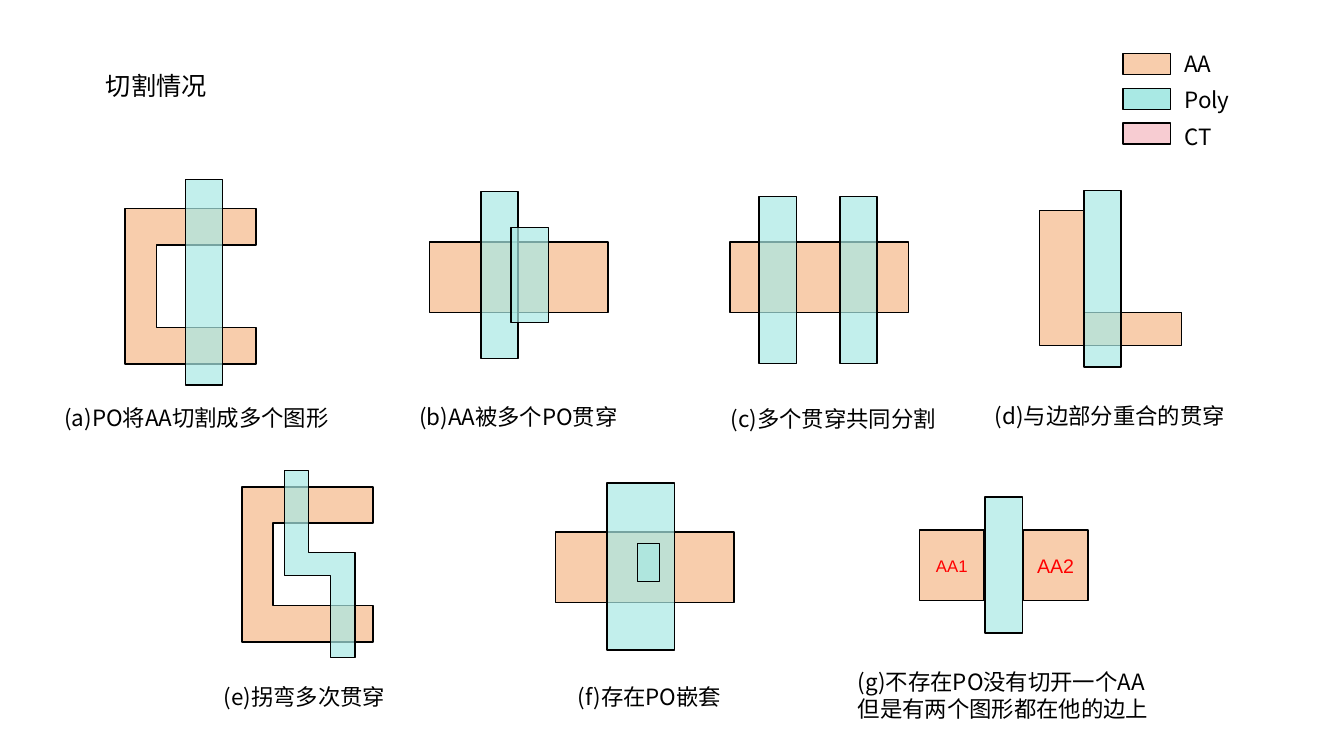
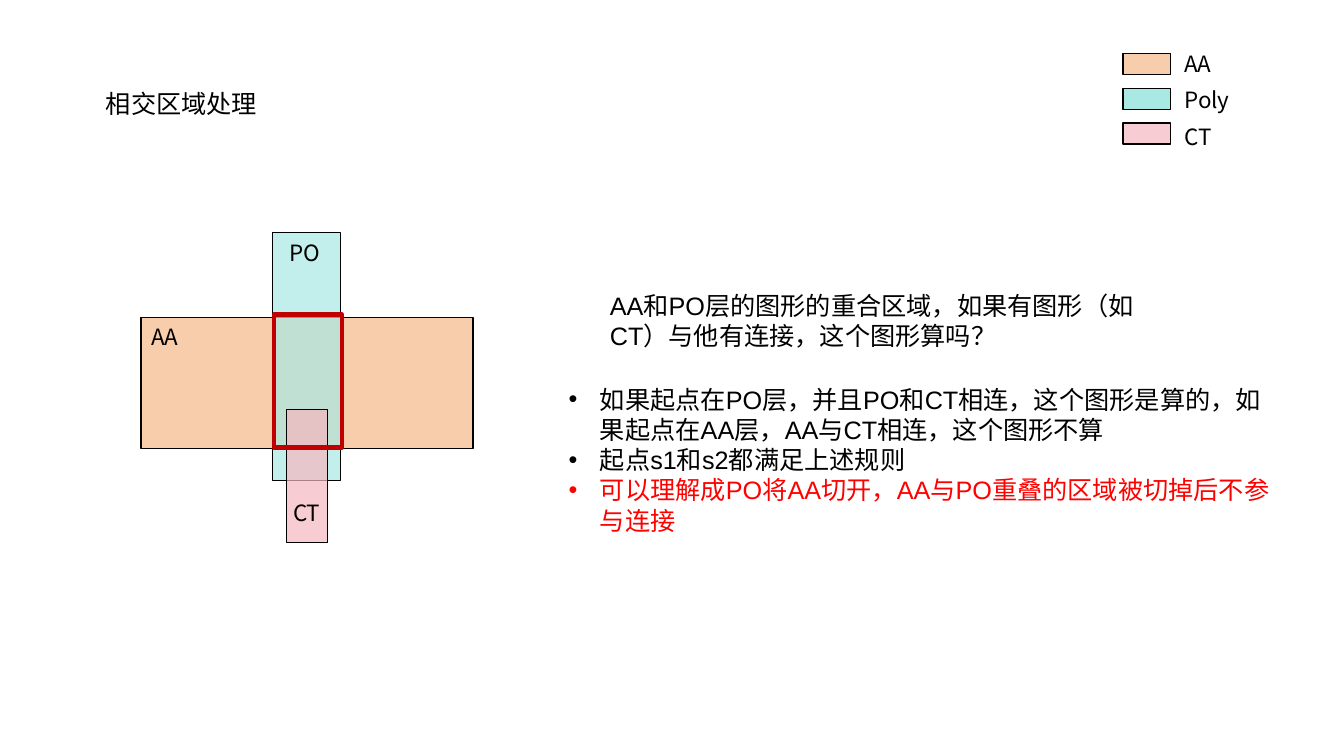
import lxml.etree
import pptx
import pptx.dml.color
import pptx.enum.shapes
import pptx.enum.text
import pptx.oxml.ns
import pptx.util

Inches = pptx.util.Inches
Pt = pptx.util.Pt
qn = pptx.oxml.ns.qn
ALIGN = pptx.enum.text.PP_ALIGN
ANCHOR = pptx.enum.text.MSO_ANCHOR

COLORS = {
    "AA": "F8CDAC",
    "Poly": "A9E9E4",
    "CT": "F5B7BF",
    "ink": "000000",
    "alert": "FF0000",
    "overlap": "C00000",
}
LATIN = "Arial"
CJK = "Noto Sans CJK SC"
BAR_WIDTH = 0.37
BLOCK_SIZE = (1.77, 0.7)
CHANNEL = [(0, 0), (1.3, 0), (1.3, 0.36), (0.31, 0.36),
           (0.31, 1.18), (1.3, 1.18), (1.3, 1.54), (0, 1.54)]


def rgb(name):
    return pptx.dml.color.RGBColor.from_string(COLORS[name])


def write(paragraph, content, size=16, font=CJK, color="ink", align=ALIGN.LEFT):
    paragraph.alignment = align
    paragraph.space_before = Pt(0)
    run = paragraph.add_run()
    run.text = content
    run.font.size = Pt(size)
    run.font.name = font
    run.font.color.rgb = rgb(color)
    lxml.etree.SubElement(run.font._element, qn("a:ea"), typeface=CJK)


class Deck:
    def __init__(self):
        self.presentation = pptx.Presentation()
        self.presentation.slide_width = Inches(13.33)
        self.presentation.slide_height = Inches(7.5)
        self.slide = None

    def start(self, layout, title, top, width):
        layouts = self.presentation.slide_layouts
        self.slide = self.presentation.slides.add_slide(layouts[layout])
        frame = self.place(self.slide.shapes.title, 0.95, top, width, 0.4)
        write(frame.paragraphs[0], title, size=18, font=LATIN)
        self.legend()

    def place(self, holder, left, top, width, height):
        holder.left, holder.top = Inches(left), Inches(top)
        holder.width, holder.height = Inches(width), Inches(height)
        frame = holder.text_frame
        frame.word_wrap = True
        frame.auto_size = pptx.enum.text.MSO_AUTO_SIZE.NONE
        frame.vertical_anchor = ANCHOR.TOP
        return frame

    def legend(self):
        for row, (layer, opacity) in enumerate([("AA", 100), ("Poly", 100), ("CT", 70)]):
            self.rect(11.14, 0.53 + 0.345 * row, 0.47, 0.21, layer, opacity)
            self.label(layer, 11.65, 0.45 + 0.36 * row, 0.94)

    def paint(self, shape, fill, opacity=100, line="ink", weight=1):
        shape.shadow.inherit = False
        shape.line.color.rgb = rgb(line)
        shape.line.width = Pt(weight)
        if fill is None:
            shape.fill.background()
            return shape
        shape.fill.solid()
        shape.fill.fore_color.rgb = rgb(fill)
        if opacity < 100:
            tint = shape.element.spPr.find(qn("a:solidFill")).find(qn("a:srgbClr"))
            lxml.etree.SubElement(tint, qn("a:alpha"), val=str(opacity * 1000))
        return shape

    def rect(self, left, top, width, height, fill, opacity=100, **outline):
        shape = self.slide.shapes.add_shape(
            pptx.enum.shapes.MSO_SHAPE.RECTANGLE,
            Inches(left), Inches(top), Inches(width), Inches(height))
        return self.paint(shape, fill, opacity, **outline)

    def poly(self, left, top, height, width=BAR_WIDTH):
        self.rect(left, top, width, height, "Poly", 70)

    def outline(self, points, fill, opacity=100, left=0, top=0):
        corners = [(Inches(left + x), Inches(top + y)) for x, y in points]
        builder = self.slide.shapes.build_freeform(*corners[0])
        builder.add_line_segments(corners[1:], close=True)
        self.paint(builder.convert_to_shape(), fill, opacity)

    def label(self, content, left, top, width, height=0.37, **style):
        box = self.slide.shapes.add_textbox(0, 0, 0, 0)
        frame = self.place(box, left, top, width, height)
        write(frame.paragraphs[0], content, **style)

    def tagged_block(self, content, left, size):
        block = self.rect(left, 5.26, 0.64, 0.7, "AA")
        block.text_frame.vertical_anchor = ANCHOR.MIDDLE
        write(block.text_frame.paragraphs[0], content, size=size, font=LATIN,
              color="alert", align=ALIGN.CENTER)

    def bullets(self, items, left, top, width, height):
        frame = self.place(self.slide.placeholders[1], left, top, width, height)
        for index, (content, color) in enumerate(items):
            paragraph = frame.add_paragraph() if index else frame.paragraphs[0]
            properties = paragraph._p.get_or_add_pPr()
            properties.set("marL", str(Inches(0.31)))
            properties.set("indent", str(-Inches(0.31)))
            lxml.etree.SubElement(properties, qn("a:buFont"), typeface=LATIN)
            lxml.etree.SubElement(properties, qn("a:buChar"), char="•")
            write(paragraph, content, size=18, font=LATIN, color=color)


def cutting_cases(deck):
    deck.start(5, "切割情况", 0.65, 1.39)

    deck.outline(CHANNEL, "AA", left=1.24, top=2.07)
    deck.poly(1.84, 1.78, 2.04)

    deck.rect(4.26, 2.4, *BLOCK_SIZE, "AA")
    deck.poly(4.77, 1.9, 1.66)
    deck.poly(5.07, 2.26, 0.94)

    deck.rect(7.24, 2.4, *BLOCK_SIZE, "AA")
    for left in (7.53, 8.33):
        deck.poly(left, 1.95, 1.66)

    corner = [(10.31, 2.09), (10.75, 2.09), (10.75, 3.1),
              (11.72, 3.1), (11.72, 3.43), (10.31, 3.43)]
    deck.outline(corner, "AA")
    deck.poly(10.75, 1.89, 1.75)

    deck.outline(CHANNEL, "AA", left=2.4, top=4.83)
    bend = [(2.82, 4.67), (3.06, 4.67), (3.06, 5.48), (3.52, 5.48),
            (3.52, 6.52), (3.28, 6.52), (3.28, 5.71), (2.82, 5.71)]
    deck.outline(bend, "Poly", 70)

    deck.rect(5.51, 5.28, *BLOCK_SIZE, "AA")
    deck.poly(6.02, 4.79, 1.66, width=0.67)
    deck.poly(6.32, 5.39, 0.38, width=0.22)

    deck.tagged_block("AA1", 9.12, 12)
    deck.tagged_block("AA2", 10.15, 14)
    deck.poly(9.77, 4.93, 1.35)

    captions = [
        ("(a)PO将AA切割成多个图形", 0.54, 3.96, 2.88),
        ("(b)AA被多个PO贯穿", 4.06, 3.95, 2.61),
        ("(c)多个贯穿共同分割", 7.15, 3.97, 2.61),
        ("(d)与边部分重合的贯穿", 9.77, 3.94, 2.61),
        ("(e)拐弯多次贯穿", 2.12, 6.73, 1.93),
        ("(f)存在PO嵌套", 5.63, 6.73, 1.93),
        ("(g)不存在PO没有切开一个AA但是有两个图形都在他的边上", 8.41, 6.58, 3.17),
    ]
    for caption in captions:
        deck.label(*caption)


def overlap_handling(deck):
    deck.start(1, "相交区域处理", 0.83, 2.11)

    deck.rect(1.4, 3.15, 3.29, 1.3, "AA")
    deck.poly(2.7, 2.31, 2.46, width=0.68)
    deck.rect(2.84, 4.06, 0.41, 1.32, "CT", 70)
    deck.rect(2.72, 3.12, 0.67, 1.32, None, line="overlap", weight=3)
    for layer, left, top in [("AA", 1.4, 3.16), ("PO", 2.77, 2.32), ("CT", 2.81, 4.9)]:
        deck.label(layer, left, top, 0.61)

    deck.label("AA和PO层的图形的重合区域，如果有图形（如CT）与他有连接，这个图形算吗？",
               5.95, 2.83, 5.82, 0.71, size=18, font=LATIN)
    deck.bullets([
        ("如果起点在PO层，并且PO和CT相连，这个图形是算的，如果起点在AA层，AA与CT相连，这个图形不算", "ink"),
        ("起点s1和s2都满足上述规则", "ink"),
        ("可以理解成PO将AA切开，AA与PO重叠的区域被切掉后不参与连接", "alert"),
    ], 5.54, 3.76, 7.19, 1.61)


def main():
    deck = Deck()
    cutting_cases(deck)
    overlap_handling(deck)
    deck.presentation.save("out.pptx")


if __name__ == "__main__":
    main()
